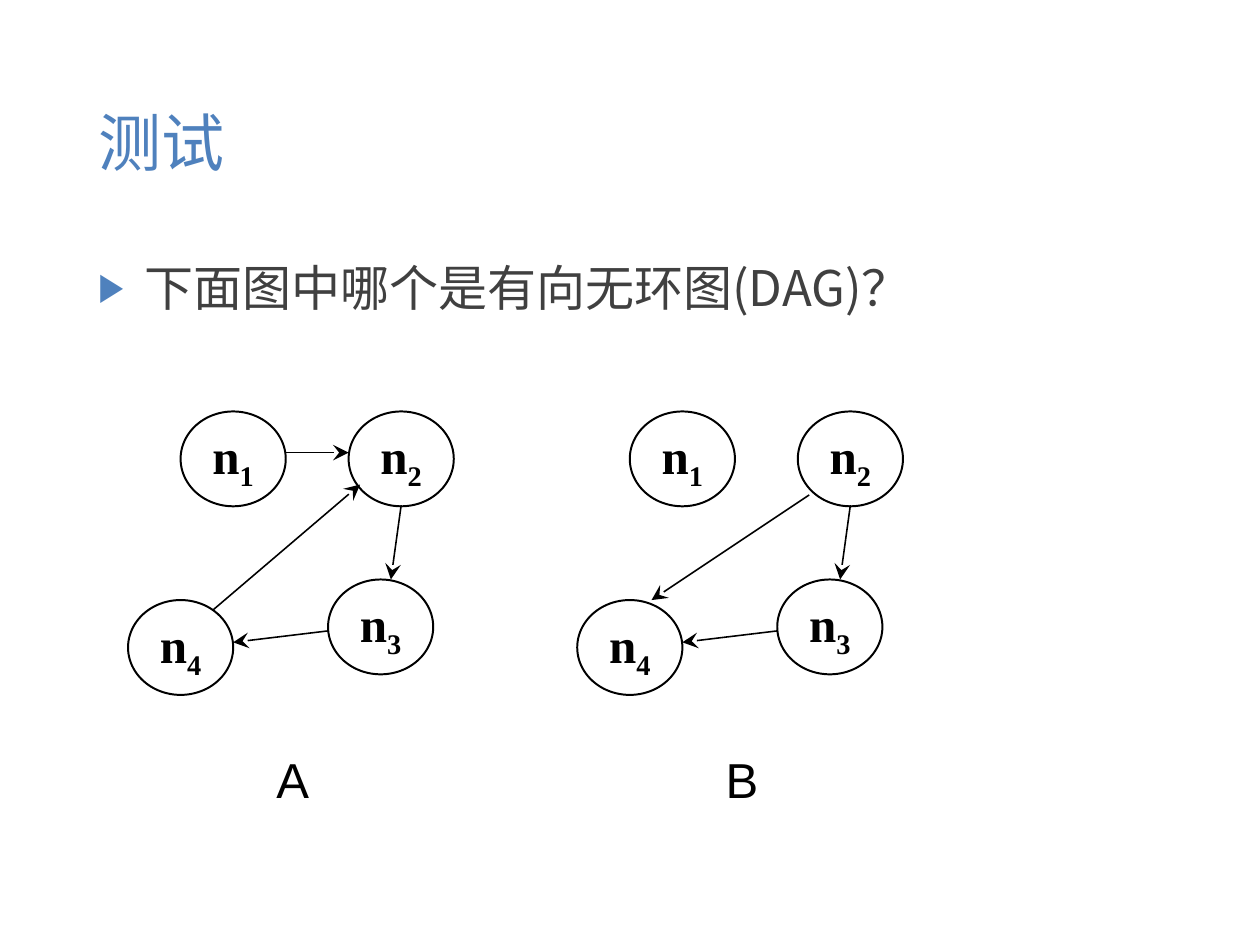
import pptx
import pptx.util
import pptx.dml.color
import pptx.enum.shapes
import pptx.enum.text
import pptx.oxml
import pptx.oxml.ns
from lxml import etree

Inches = pptx.util.Inches
Pt = pptx.util.Pt
RGBColor = pptx.dml.color.RGBColor
MSO_ANCHOR = pptx.enum.text.MSO_ANCHOR
qn = pptx.oxml.ns.qn

BLUE = RGBColor(0x4F, 0x81, 0xBD)
GRAY = RGBColor(0x40, 0x40, 0x40)
BLACK = RGBColor(0, 0, 0)
CJK, SERIF, SANS = "Noto Sans CJK SC", "Times New Roman", "Arial"
TITLE_SIZE, BODY_SIZE = 39.7, 30.9

# The page is 28 by 21 cm
PAGE_W, PAGE_H = 28 / 2.54, 21 / 2.54
NODE_W, NODE_H = 0.92, 0.83
NODES = {"1": (1.58, 3.6), "2": (3.05, 3.6), "3": (2.87, 5.07), "4": (1.12, 5.25)}
SHARED_EDGES = [((3.51, 4.42), (3.42, 5.07)), ((2.87, 5.52), (2.04, 5.62))]
# Each graph: label, shift to the right, its own edges (before the shift)
GRAPHS = [
    ("A", 0, [((2.5, 3.96), (3.05, 3.96)), ((1.86, 5.34), (3.15, 4.24))]),
    ("B", 3.93, [((3.15, 4.33), (1.77, 5.25))]),
]


class Deck:
    """Style and current slide, with one method per kind of element."""

    def __init__(self, width, height):
        self.prs = pptx.Presentation()
        self.prs.slide_width = Inches(width)
        self.prs.slide_height = Inches(height)
        # The page is not one of the preset screen sizes
        self.prs.element.sldSz.attrib.pop("type", None)
        self.s = self.prs.slides.add_slide(self.prs.slide_layouts[6])

    def run(self, p, text, size, font, color, bold=False):
        r = p.add_run()
        r.text = text
        r.font.size = Pt(size)
        r.font.bold = bold
        r.font.color.rgb = color
        r.font.name = font
        etree.SubElement(r.font._element, qn("a:ea")).set("typeface", font)
        return r

    def text(self, x, y, w, h, text, size, font, color, anchor=MSO_ANCHOR.TOP, wrap=True):
        tf = self.s.shapes.add_textbox(Inches(x), Inches(y), Inches(w), Inches(h)).text_frame
        tf.word_wrap = wrap
        tf.vertical_anchor = anchor
        p = tf.paragraphs[0]
        self.run(p, text, size, font, color)
        return p

    def bullet(self, p, char, indent, color, percent):
        pPr = p._p.get_or_add_pPr()
        pPr.set("marL", str(Inches(indent)))
        pPr.set("indent", str(-Inches(indent)))
        clr = etree.SubElement(pPr, qn("a:buClr"))
        etree.SubElement(clr, qn("a:srgbClr")).set("val", str(color))
        etree.SubElement(pPr, qn("a:buSzPct")).set("val", str(percent * 1000))
        etree.SubElement(pPr, qn("a:buFont")).set("typeface", SANS)
        etree.SubElement(pPr, qn("a:buChar")).set("char", char)

    def node(self, shapes, x, y, index):
        sp = shapes.add_shape(pptx.enum.shapes.MSO_SHAPE.OVAL,
                              Inches(x), Inches(y), Inches(NODE_W), Inches(NODE_H))
        sp.shadow.inherit = False
        sp.fill.background()
        sp.line.color.rgb = BLACK
        sp.line.width = Pt(1.25)
        tf = sp.text_frame
        tf.word_wrap = False
        tf.vertical_anchor = MSO_ANCHOR.MIDDLE
        p = tf.paragraphs[0]
        p.alignment = pptx.enum.text.PP_ALIGN.CENTER
        self.run(p, "n", BODY_SIZE, SERIF, BLACK, bold=True)
        r = self.run(p, index, BODY_SIZE, SERIF, BLACK, bold=True)
        r.font._element.set("baseline", "-25000")

    def arrow(self, shapes, x1, y1, x2, y2):
        cx = shapes.add_connector(pptx.enum.shapes.MSO_CONNECTOR.STRAIGHT,
                                  Inches(x1), Inches(y1), Inches(x2), Inches(y2))
        cx.line.color.rgb = BLACK
        cx.line.width = Pt(1)
        tail = etree.SubElement(cx.line._get_or_add_ln(), qn("a:tailEnd"))
        for key, value in (("type", "stealth"), ("w", "lg"), ("len", "lg")):
            tail.set(key, value)
        etree.SubElement(cx._element.spPr, qn("a:effectLst"))

    def graph(self, label, dx, edges):
        shapes = self.s.shapes.add_group_shape().shapes
        for index, (x, y) in NODES.items():
            self.node(shapes, x + dx, y, index)
        for (x1, y1), (x2, y2) in SHARED_EDGES + edges:
            self.arrow(shapes, x1 + dx, y1, x2 + dx, y2)
        self.text(2.32 + dx, 6.51, 0.49, 0.62, label, BODY_SIZE, SANS, BLACK, wrap=False)


def main():
    deck = Deck(PAGE_W, PAGE_H)

    # Title and question
    deck.text(0.76, 0.44, 9.51, 1.6, "测试", TITLE_SIZE, CJK, BLUE, MSO_ANCHOR.MIDDLE)
    p = deck.text(0.76, 2.2, 9.51, 5.25, "下面图中哪个是有向无环图(DAG)？", BODY_SIZE, CJK, GRAY)
    deck.bullet(p, "▶", 0.41, BLUE, 80)

    # The two graphs to compare
    for label, dx, edges in GRAPHS:
        deck.graph(label, dx, edges)

    deck.prs.save("out.pptx")


if __name__ == "__main__":
    main()
